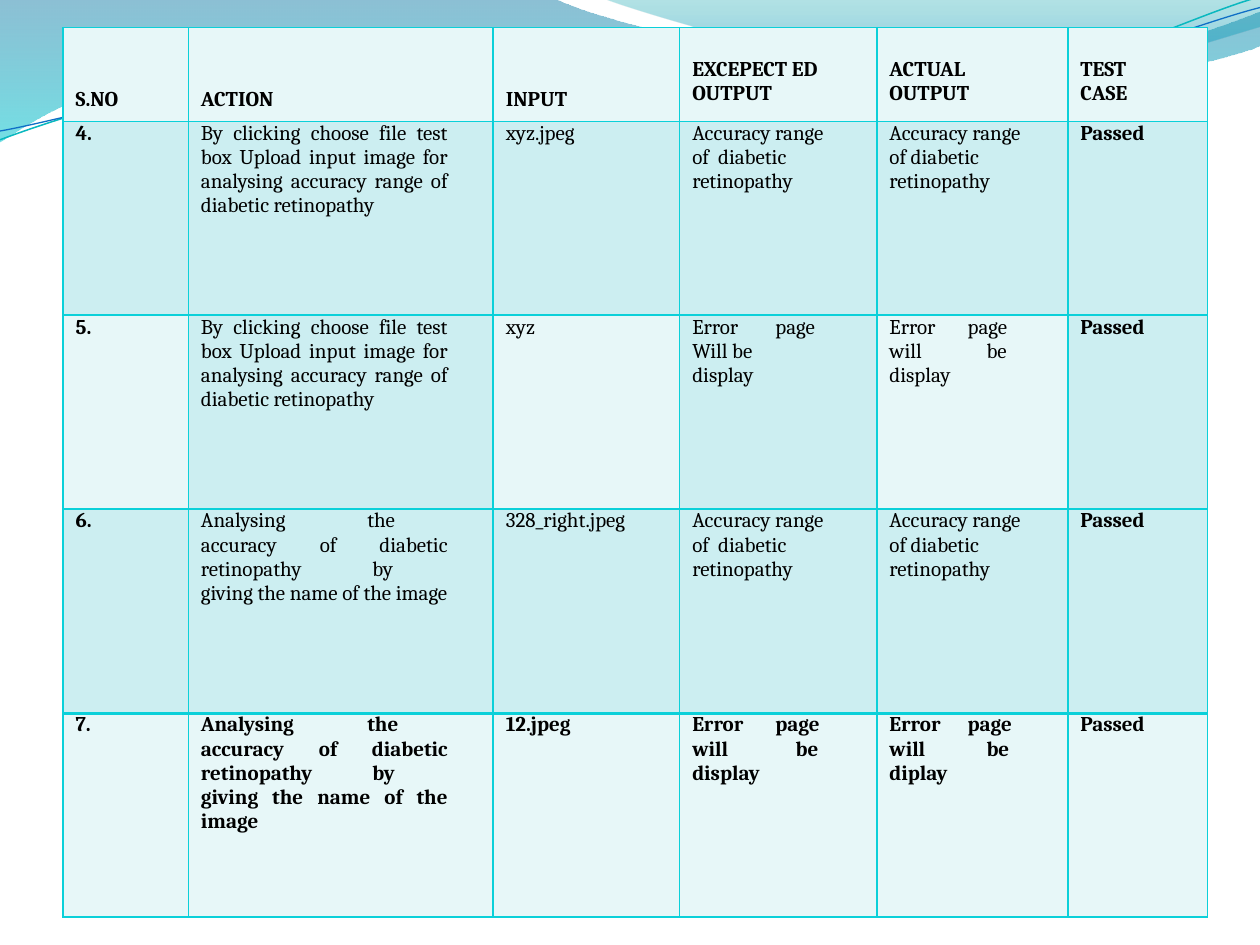
from lxml.etree import SubElement
from pptx import Presentation
from pptx.dml.color import RGBColor
from pptx.enum.text import PP_ALIGN
from pptx.oxml import parse_xml
from pptx.oxml.ns import nsdecls, qn
from pptx.util import Inches, Pt

DEEP_BLUE = RGBColor(0x00, 0x74, 0xA1)
AQUA = RGBColor(0x00, 0xC6, 0xCF)
TEAL = RGBColor(0x00, 0xA1, 0xA9)
SKY = RGBColor(0x00, 0x8B, 0xBF)
CYAN_LINE = RGBColor(0x0A, 0xB8, 0xBF)
BLUE_LINE = RGBColor(0x0F, 0x6F, 0xC6)
BORDER = RGBColor(0x0B, 0xD0, 0xD9)
PALE = RGBColor(0xE7, 0xF7, 0xF8)
TINT = RGBColor(0xCC, 0xEE, 0xF1)
BLACK = RGBColor(0, 0, 0)

deck = Presentation()
deck.slide_width, deck.slide_height = Inches(10), Inches(7.5)
slide = deck.slides.add_slide(deck.slide_layouts[6])
UNIT = deck.slide_width // 100
FINE = 100


def outline(start, segments, closed):
    builder = slide.shapes.build_freeform(*(round(v * FINE) for v in start), scale=UNIT / FINE)
    for segment in segments:
        marks = [round(v * FINE) for v in segment]
        builder.add_line_segments(list(zip(marks[::2], marks[1::2])), close=False)
    shape = builder.convert_to_shape()
    route = next(shape._element.iter(qn("a:path")))
    strokes = iter(route.findall(qn("a:lnTo")))
    for segment in segments:
        stroke = next(strokes)
        if len(segment) == 6:
            stroke.tag = qn("a:cubicBezTo")
            for _ in range(2):
                extra = next(strokes)
                stroke.append(extra[0])
                route.remove(extra)
    if closed:
        SubElement(route, qn("a:close"))
    shape.shadow.inherit = False
    return shape


waves = [
    ((0, 0), [
        (44, -0.1),
        (47.6, 1.7, 66.4, 6.3, 75.8, 6.3),
        (85.3, 6.3, 95.8, 2.6, 100, 0.9),
        (100.1, 3.6),
        (98.3, 4.4, 87, 7.6, 74.6, 7.5),
        (62.2, 7.5, 38.2, 2.8, 25.7, 3.4),
        (12.9, 3.6, 4.6, 8.3, -0.1, 11.3),
        (0, 0),
    ], [(0, DEEP_BLUE, 45), (1, AQUA, 55)]),
    ((47.9, -0.1), [
        (50.9, 1.1, 68.2, 6.2, 76.9, 6.5),
        (85.6, 6.9, 96.1, 3.2, 100, 2.1),
        (100, 0),
        (47.9, -0.1),
    ], [(0, TEAL, 30), (0.8, SKY, 45)]),
]
for start, segments, stops in waves:
    wave = outline(start, segments, True)
    wave.line.fill.background()
    wave.fill.gradient()
    wave.fill.gradient_angle = 270
    for stop, (position, color, opacity) in zip(wave.fill.gradient_stops, stops):
        stop.position = position
        stop.color.rgb = color
    for color_node, (_, _, opacity) in zip(wave._element.spPr.iter(qn("a:srgbClr")), stops):
        SubElement(color_node, qn("a:alpha"), val=str(opacity * 1000))

ribbons = [
    ((0, 11.1), [
        (4.8, 9.3, 15.8, 5.7, 27.7, 5.2),
        (39.5, 4.7, 59.3, 8.9, 71.3, 8),
        (83.3, 7.1, 93.8, 1.5, 99.8, -0.2),
    ], CYAN_LINE, 0.85),
    ((0, 10.4), [
        (4.7, 9.6, 16.4, 6.1, 28.3, 5.6),
        (40.3, 5.1, 59.7, 8.4, 71.7, 7.5),
        (83.6, 6.7, 94.1, 2.1, 100, 0.6),
    ], BLUE_LINE, 0.75),
]
for start, segments, color, weight in ribbons:
    ribbon = outline(start, segments, False)
    ribbon.fill.background()
    ribbon.line.color.rgb = color
    ribbon.line.width = Pt(weight)

upload = "By clicking choose file test box Upload input image for analysing accuracy range of diabetic retinopathy"
by_name = "Analysing\tthe accuracy of diabetic retinopathy\t\tby giving the name of the image"
expected_range = "Accuracy range of  diabetic retinopathy"
actual_range = "Accuracy range\tof diabetic retinopathy"
error_shown = "Error\tpage\nwill\tbe\ndisplay"
cases = [
    ["S.NO", "ACTION", "INPUT", "EXCEPECT ED OUTPUT", "ACTUAL OUTPUT", "TEST CASE"],
    ["4.", upload, "xyz.jpeg", expected_range, actual_range, "Passed"],
    ["5.", upload, "xyz", "Error\tpage\nWill be\ndisplay", error_shown, "Passed"],
    ["6.", by_name, "328_right.jpeg", expected_range, actual_range, "Passed"],
    ["7.", by_name, "12.jpeg", error_shown, "Error\tpage\nwill\tbe\ndiplay", "Passed"],
]
tab_stops = {
    (1, "Analysing"): [13.2, 13.6],
    (3, "Error"): [6.6],
    (3, "will"): [8.2],
    (4, "Error"): [6.2],
    (4, "will"): [7.7],
    (4, "Accuracy range"): [7.9],
}
column_spans = [9.95, 24.2, 14.8, 15.65, 15.15, 11.1]
row_spans = [7.45, 15.37, 15.38, 16.2, 16.2]
right_insets = [0, 3.6, 0, 3.2, 2.8, 4]
header_drops = [4.75, 4.75, 4.75, 2.4, 2.4, 2.4]
tinted_cells = {(row, column) for row in (1, 3) for column in range(6)} | {(2, 1), (2, 3), (2, 5)}

frame = slide.shapes.add_table(5, 6, int(5 * UNIT), int(2.2 * UNIT),
                               int(sum(column_spans) * UNIT), int(sum(row_spans) * UNIT))
grid = frame.table
grid.first_row = grid.horz_banding = False
for column, span in zip(grid.columns, column_spans):
    column.width = int(span * UNIT)
for row, span in zip(grid.rows, row_spans):
    row.height = int(span * UNIT)

for r, case in enumerate(cases):
    for c, words in enumerate(case):
        cell = grid.cell(r, c)
        insets = {
            "margin_left": UNIT,
            "margin_right": int(right_insets[c] * UNIT),
            "margin_top": int(header_drops[c] * UNIT) if r == 0 else 0,
            "margin_bottom": 0,
        }
        for name, value in insets.items():
            setattr(cell, name, value)
        cell.fill.solid()
        cell.fill.fore_color.rgb = TINT if (r, c) in tinted_cells else PALE
        for order, side in enumerate("LRTB"):
            heavy = (r, side) in ((4, "T"), (3, "B"))
            cell._tc.tcPr.insert(order, parse_xml(
                f'<a:ln{side} {nsdecls("a")} w="{Pt(2 if heavy else 1)}">'
                f'<a:solidFill><a:srgbClr val="{BORDER}"/></a:solidFill></a:ln{side}>'))
        cell.text_frame.text = words
        lettering = {"name": "Cambria", "size": Pt(12), "bold": r in (0, 4) or c in (0, 5)}
        for paragraph in cell.text_frame.paragraphs:
            if c == 1 and r > 0:
                paragraph.alignment = PP_ALIGN.JUSTIFY
            stops = tab_stops.get((c, paragraph.text.split("\t")[0]))
            if stops:
                tab_list = SubElement(paragraph._p.get_or_add_pPr(), qn("a:tabLst"))
                for stop in stops:
                    SubElement(tab_list, qn("a:tab"), pos=str(int(stop * UNIT)), algn="l")
            for run in paragraph.runs:
                for name, value in lettering.items():
                    setattr(run.font, name, value)
                run.font.color.rgb = BLACK

deck.save("out.pptx")
